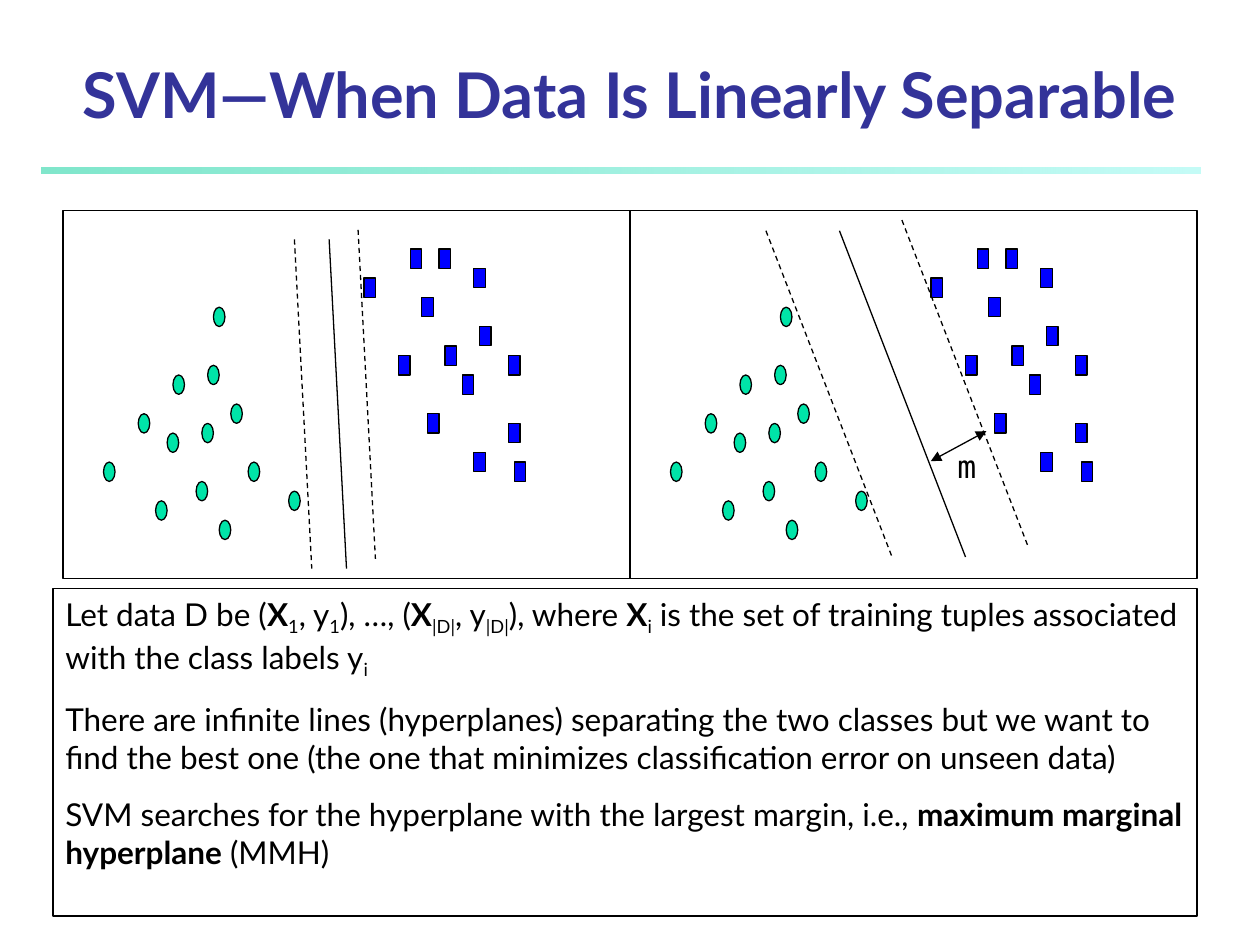
"""Build a slide comparing small and large SVM margins on linearly separable data."""
from lxml.etree import SubElement
from pptx import Presentation
from pptx.dml.color import RGBColor as Color
from pptx.enum.dml import MSO_LINE_DASH_STYLE as Dash
from pptx.enum.shapes import MSO_CONNECTOR as Connector, MSO_SHAPE as Shape
from pptx.enum.text import MSO_ANCHOR as Anchor, PP_ALIGN as Align
from pptx.oxml.ns import qn
from pptx.util import Inches, Pt

THEME = {
    "font": "Lato", "mono": "DejaVu Sans Mono",
    "title": Color.from_string("333399"), "ink": Color.from_string("000000"),
    "circle": Color.from_string("00E4A8"), "square": Color.from_string("0000FF"),
    "bar": [("00CE98", 50), ("8FF9EF", 52)],
    "title_size": Pt(36), "text_size": Pt(18), "line": Pt(0.75), "gap": Pt(11.2),
}
PANEL_TOP, PANEL_WIDTH, PANEL_HEIGHT = 1.67, 4.5, 2.92
COLUMN, ROW = PANEL_WIDTH / 98, PANEL_HEIGHT / 38

CIRCLES = [(16, 30), (18, 23), (7, 26), (13, 21), (23, 28), (19, 17), (24, 22),
           (25, 16), (29, 20), (32, 26), (27, 32), (39, 29), (26, 10)]
SQUARES = [(58, 15), (52, 7), (60, 4), (63, 21), (62, 9), (66, 14), (65, 4),
           (71, 6), (69, 17), (72, 12), (71, 25), (77, 15), (77, 22), (78, 26)]
PANELS = [
    (0.5, (3, 34), [(51, 2, Dash.DASH), (40, 3, Dash.DASH), (46, 3, None)]),
    (5, (21.8, 33.7), [(23.5, 2.1, Dash.DASH), (47, 1, Dash.DASH), (36.2, 2.1, None)]),
]
PARAGRAPHS = [
    [("Let data D be (", ""), ("X", "bold"), ("1", "sub"), (", y", ""), ("1", "sub"),
     ("), …, (", ""), ("X", "bold"), ("|D|", "sub"), (", y", ""), ("|D|", "sub"),
     ("), where ", ""), ("X", "bold"), ("i", "sub"),
     (" is the set of training tuples associated with the class labels y", ""), ("i", "sub")],
    [("There are infinite lines (hyperplanes) separating the two classes but we want to find "
      "the best one (the one that minimizes classification error on unseen data)", "")],
    [("SVM searches for the hyperplane with the largest margin, i.e., ", ""),
     ("maximum marginal hyperplane", "bold"), (" (MMH)", "")],
]


def add_box(shapes, kind, left, top, width, height, fill=None):
    shape = shapes.add_shape(kind, Inches(left), Inches(top), Inches(width), Inches(height))
    shape.shadow.inherit = False
    if fill is None:
        shape.fill.background()
    else:
        shape.fill.solid()
        shape.fill.fore_color.rgb = fill
    shape.line.color.rgb = THEME["ink"]
    shape.line.width = THEME["line"]
    return shape


def add_line(shapes, left, column, row, across, down, dash=None):
    x, y = left + column * COLUMN, PANEL_TOP + row * ROW
    line = shapes.add_connector(Connector.STRAIGHT, Inches(x), Inches(y),
                                Inches(x + across * COLUMN), Inches(y + down * ROW))
    line.line.color.rgb = THEME["ink"]
    line.line.width = THEME["line"]
    if dash is not None:
        line.line.dash_style = dash
    SubElement(line._element.spPr, qn("a:effectLst"))
    return line


presentation = Presentation()
presentation.slide_width, presentation.slide_height = Inches(10), Inches(7.5)
slide = presentation.slides.add_slide(presentation.slide_layouts[5])

bar = add_box(slide.shapes, Shape.RECTANGLE, 0.33, 1.33, 9.2, 0.05)
bar.line.fill.background()
bar.fill.gradient()
bar.fill.gradient_angle = 0
for stop, (color, opacity) in zip(bar.fill.gradient_stops, THEME["bar"]):
    stop.color.rgb = Color.from_string(color)
for element, (color, opacity) in zip(bar._element.spPr.iter(qn("a:srgbClr")), THEME["bar"]):
    SubElement(element, qn("a:alpha"), val=str(opacity * 1000))

title = slide.shapes.title
title.left, title.top, title.width, title.height = 0, Inches(0.42), Inches(10), Inches(0.67)
title.text_frame.vertical_anchor = Anchor.BOTTOM
paragraph = title.text_frame.paragraphs[0]
paragraph.alignment = Align.CENTER
run = paragraph.add_run()
run.text = "SVM—When Data Is Linearly Separable"
run.font.name, run.font.size, run.font.bold = THEME["font"], THEME["title_size"], True
run.font.color.rgb = THEME["title"]

for left, (across, down), boundaries in PANELS:
    panel = slide.shapes.add_group_shape().shapes
    for kind, color, points in [(Shape.OVAL, THEME["circle"], CIRCLES),
                                (Shape.RECTANGLE, THEME["square"], SQUARES)]:
        for column, row in points:
            add_box(panel, kind, left + column * COLUMN, PANEL_TOP + row * ROW,
                    2 * COLUMN, 2 * ROW, color)
    add_box(panel, Shape.RECTANGLE, left, PANEL_TOP, PANEL_WIDTH, PANEL_HEIGHT)
    for column, row, dash in boundaries:
        add_line(panel, left, column, row, across, down, dash)

margin = add_line(slide.shapes, 5, 52, 25.9, 9.6, -3.1)
for end in ("a:headEnd", "a:tailEnd"):
    SubElement(margin.line._get_or_add_ln(), qn(end), type="triangle")

label = slide.shapes.add_textbox(Inches(7.5), Inches(3.5), Inches(0.58), Inches(0.4))
label.text_frame.word_wrap = True
run = label.text_frame.paragraphs[0].add_run()
run.text = "m"
run.font.name, run.font.size = THEME["mono"], THEME["text_size"]
run.font.color.rgb = THEME["ink"]

explanation = add_box(slide.shapes, Shape.RECTANGLE, 0.42, 4.67, 9.08, 2.6)
frame = explanation.text_frame
frame.word_wrap = True
frame.vertical_anchor = Anchor.TOP
for index, runs in enumerate(PARAGRAPHS):
    paragraph = frame.add_paragraph() if index else frame.paragraphs[0]
    paragraph.alignment = Align.LEFT
    if index:
        paragraph.space_before = THEME["gap"]
    for text, style in runs:
        run = paragraph.add_run()
        run.text = text
        run.font.name, run.font.size = THEME["font"], THEME["text_size"]
        run.font.bold = style == "bold"
        run.font.color.rgb = THEME["ink"]
        if style == "sub":
            run.font._element.set("baseline", "-25000")

presentation.save("out.pptx")
